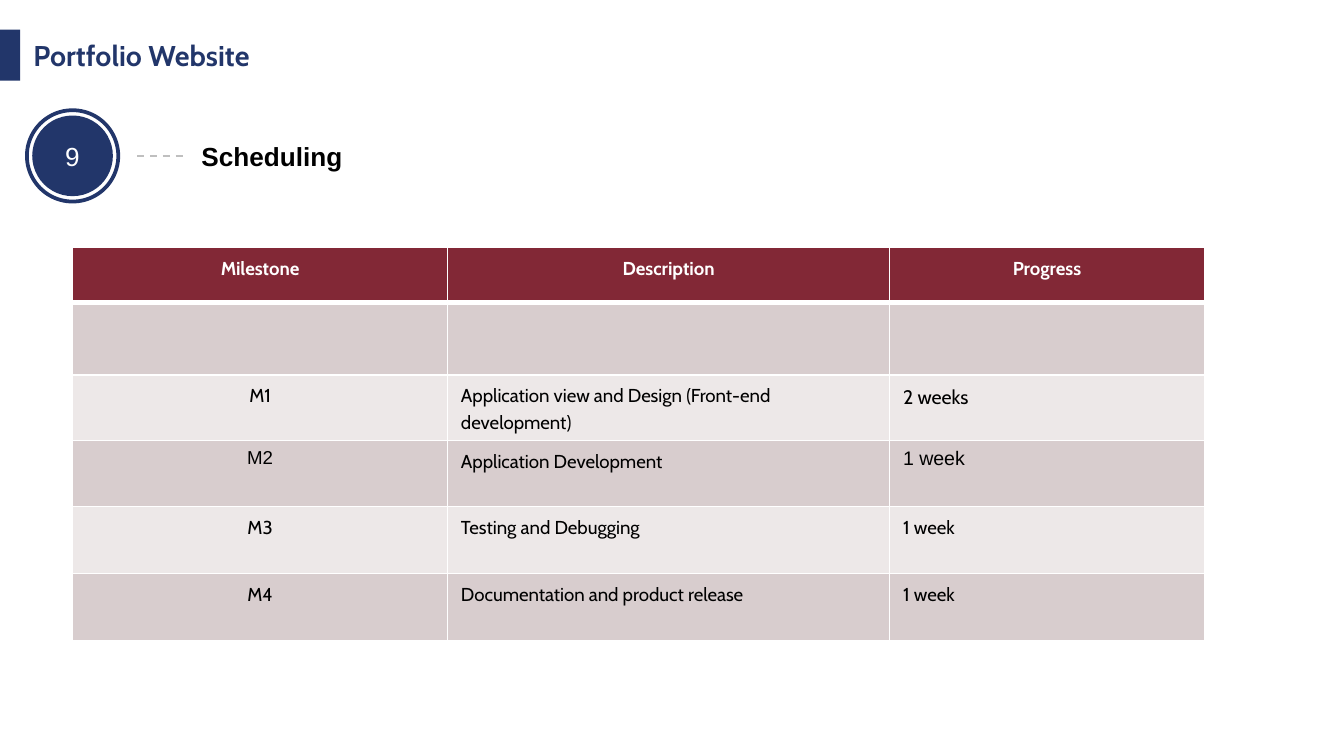
from dataclasses import dataclass

from lxml import etree
from pptx import Presentation
from pptx.dml.color import RGBColor
from pptx.enum import dml, shapes, text
from pptx.oxml import ns
from pptx.util import Inches, Pt


@dataclass(frozen=True)
class Theme:
    navy: str = "22366A"
    wine: str = "822836"
    rose: str = "D8CDCE"
    pale: str = "EDE8E8"
    gray: str = "BFBFBF"
    white: str = "FFFFFF"
    black: str = "000000"
    font: str = "Cabin"
    plain: str = "Arial"
    title: float = 15.3
    head: float = 14
    body: float = 10
    large: float = 10.5


T = Theme()
HEADS = ["Milestone", "Description", "Progress"]
PLAN = [
    ["", "", ""],
    ["M1", "Application view and Design (Front-end development)", "2 weeks"],
    ["M2", "Application Development", "1 week"],
    ["M3", "Testing and Debugging", "1 week"],
    ["M4", "Documentation and product release", "1 week"],
]
# Cells whose format departs from the body style, by row and column
ODD = {
    (2, 2): dict(size=T.large),
    (3, 0): dict(font=T.plain, space=None),
    (3, 2): dict(font=T.plain, size=T.large, space=None),
}


def rgb(code):
    return RGBColor.from_string(code)


def write(frame, words, size=T.body, font=T.font, color=T.black, bold=False,
          center=False, space=None):
    para = frame.paragraphs[0]
    para.alignment = text.PP_ALIGN.CENTER if center else text.PP_ALIGN.LEFT
    if space:
        para.line_spacing = space
    run = para.add_run()
    run.text = words
    run.font.size, run.font.name, run.font.bold = Pt(size), font, bold
    run.font.color.rgb = rgb(color)


def label(slide, x, y, w, h, words, **style):
    box = slide.shapes.add_textbox(Inches(x), Inches(y), Inches(w), Inches(h))
    frame = box.text_frame
    frame.word_wrap = True
    frame.vertical_anchor = text.MSO_ANCHOR.MIDDLE
    write(frame, words, **style)


def shape(slide, kind, x, y, w, h, fill=None, line=None):
    item = slide.shapes.add_shape(kind, Inches(x), Inches(y), Inches(w), Inches(h))
    item.shadow.inherit = False
    if fill:
        item.fill.solid()
        item.fill.fore_color.rgb = rgb(fill)
    else:
        item.fill.background()
    if line:
        item.line.color.rgb = rgb(line)
        item.line.width = Pt(2)
    else:
        item.line.fill.background()
    return item


def banner(slide, x, y, w, h):
    tab = 0.15
    shape(slide, shapes.MSO_SHAPE.RECTANGLE, x, y, tab, h, fill=T.navy)
    label(slide, x + tab, y, w - tab, h, "Portfolio Website",
          size=T.title, color=T.navy, bold=True)


def section(slide, x, y, w, h):
    """Numbered badge, dashed lead and section name in one row."""
    gap, mid, start, end = 0.04, y + h / 2, x + 0.82, x + 1.2
    oval = shapes.MSO_SHAPE.OVAL
    disc = shape(slide, oval, x + gap, y + gap, h - 2 * gap, h - 2 * gap, fill=T.navy)
    disc.text_frame.vertical_anchor = text.MSO_ANCHOR.MIDDLE
    write(disc.text_frame, "9", size=T.head, font=T.plain, color=T.white, center=True)
    shape(slide, oval, x, y, h, h, line=T.navy)

    lead = slide.shapes.add_connector(
        shapes.MSO_CONNECTOR.STRAIGHT, Inches(start), Inches(mid), Inches(end), Inches(mid))
    lead.line.color.rgb = rgb(T.gray)
    lead.line.width = Pt(1)
    lead.line.dash_style = dml.MSO_LINE.DASH
    etree.SubElement(lead._element.spPr, ns.qn("a:effectLst"))

    label(slide, end, mid - 0.17, x + w - end, 0.34, "Scheduling",
          size=T.head, font=T.plain, bold=True)


def edge(cell, **widths):
    """Draw white borders ahead of the fill; widths are in points by side."""
    props = cell._tc.get_or_add_tcPr()
    for spot, side in enumerate("LRTB"):
        line = etree.Element(ns.qn(f"a:ln{side}"), w=str(Pt(widths.get(side, 0.75))))
        fill = etree.SubElement(line, ns.qn("a:solidFill"))
        etree.SubElement(fill, ns.qn("a:srgbClr"), val=T.white)
        props.insert(spot, line)


def schedule(slide, x, y, w, h):
    rows = [HEADS] + PLAN
    grid = slide.shapes.add_table(
        len(rows), len(HEADS), Inches(x), Inches(y), Inches(w), Inches(h)).table
    for col, size in zip(grid.columns, (2.79, 3.29, 2.34)):
        col.width = Inches(size)
    for row, size in zip(grid.rows, (0.41, 0.54, 0.49, 0.49, 0.5, 0.5)):
        row.height = Inches(size)
    for r, row in enumerate(rows):
        for c, words in enumerate(row):
            cell = grid.cell(r, c)
            cell.fill.solid()
            cell.fill.fore_color.rgb = rgb(T.wine if r == 0 else T.rose if r % 2 else T.pale)
            edge(cell, **({"B": 3} if r == 0 else {"T": 3} if r == 1 else {}))
            if words:
                style = dict(center=r == 0 or c == 0, space=1.15, bold=r == 0,
                             color=T.black if r else T.white)
                write(cell.text_frame, words, **(style | ODD.get((r, c), {})))


def main():
    deck = Presentation()
    deck.slide_width = Inches(10)
    deck.slide_height = deck.slide_width * 9 // 16
    slide = deck.slides.add_slide(deck.slide_layouts[6])
    banner(slide, 0, 0.22, 8.77, 0.38)
    schedule(slide, 0.54, 1.84, 8.42, 2.93)
    section(slide, 0.2, 0.82, 8.57, 0.68)
    deck.save("out.pptx")


if __name__ == "__main__":
    main()
